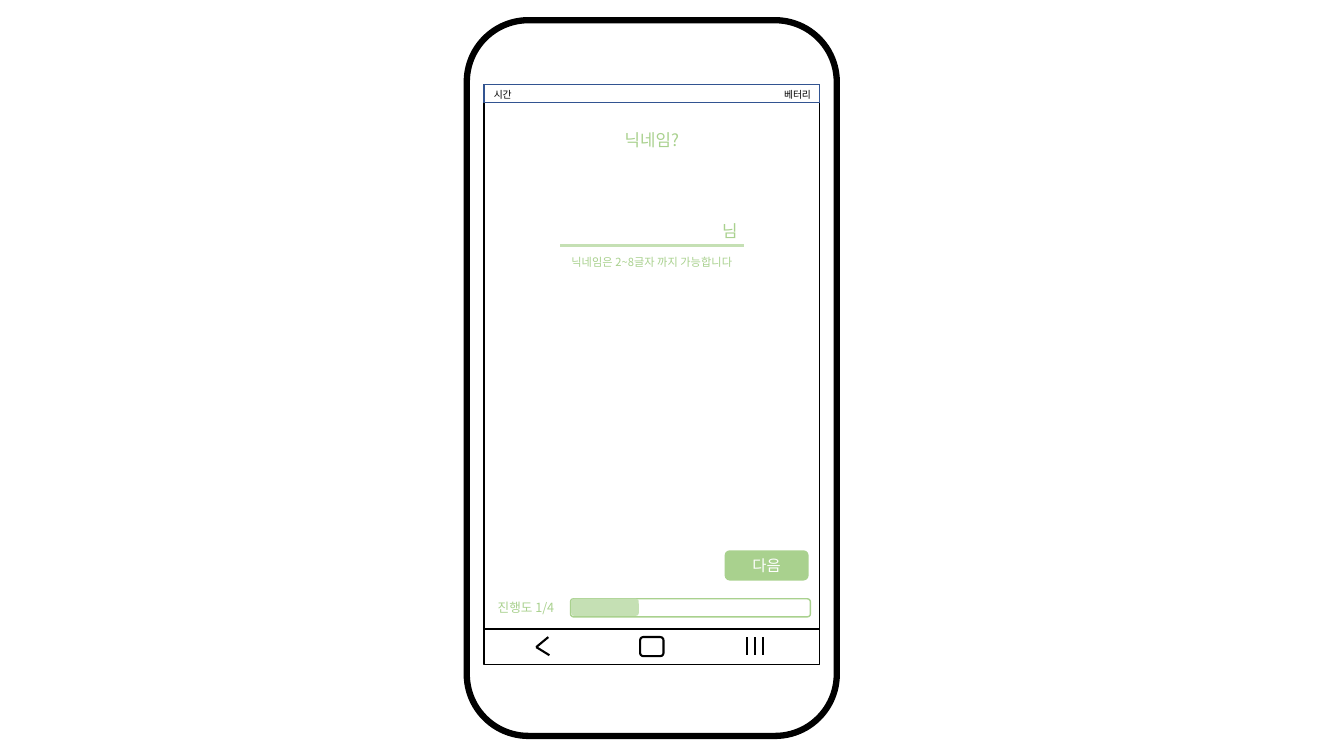
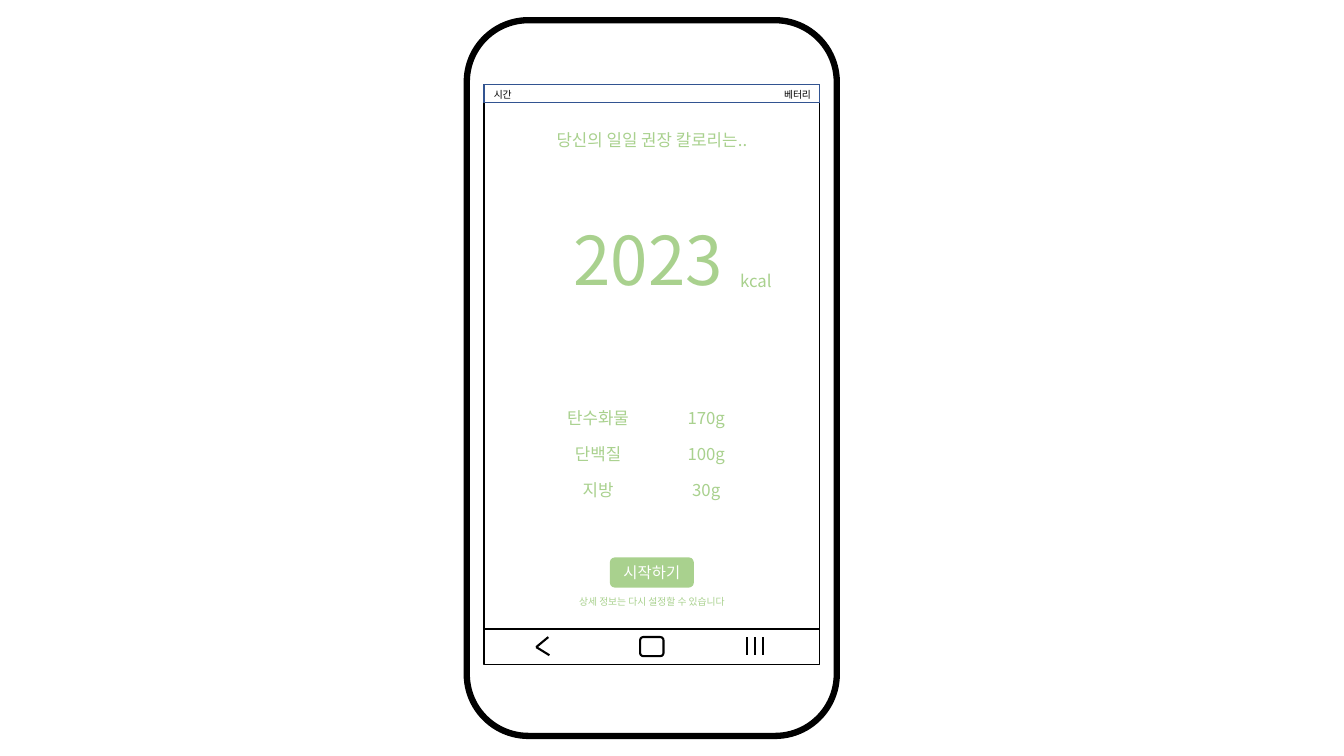
from lxml import etree
from pptx import Presentation
from pptx import util as u
from pptx.dml.color import RGBColor
from pptx.enum import shapes, text
from pptx.oxml import ns

FONT = "Noto Sans CJK KR"
HUES = {"ink": "000000", "paper": "FFFFFF", "green": "A9D18E",
        "pale": "C5E0B4", "blue": "325491"}
RECT = shapes.MSO_SHAPE.RECTANGLE
ROUND = shapes.MSO_SHAPE.ROUNDED_RECTANGLE
LEFT, MID = text.PP_ALIGN.LEFT, text.PP_ALIGN.CENTER

# Places are percent of the slide: x of its width, y of its height.
AXIS = 48.5
STATUS = [("시간", 36), ("베터리", 57.6)]
ASK = {
    "title": "닉네임?",
    # text, points, centre, top, width
    "words": [("님", 12, 54.3, 28.53, 16.65),
              ("닉네임은 2~8글자 까지 가능합니다", 8, AXIS, 33.07, 23.4)],
    "button": ("다음", 57.04, 72.8),
    "step": "진행도 1/4",
}
PLAN = {
    "title": "당신의 일일 권장 칼로리는..",
    "words": [("2023", 48, 48.22, 28.27, 16.65),
              ("kcal", 12, 56.25, 35.2, 16.65),
              ("상세 정보는 다시 설정할 수 있습니다", 7, AXIS, 78.13, 16.65)],
    "button": ("시작하기", AXIS, 73.73),
    "foods": [("탄수화물", "170g"), ("단백질", "100g"), ("지방", "30g")],
}

deck = Presentation()
deck.slide_width, deck.slide_height = u.Inches(13.333), u.Inches(7.5)


def across(part):
    """Turn a percent of the slide's width into a length."""
    return u.Emu(round(deck.slide_width * part / 100))


def down(part):
    """Turn a percent of the slide's height into a length."""
    return u.Emu(round(deck.slide_height * part / 100))


def hue(name):
    """Look up a colour by name."""
    return RGBColor.from_string(HUES[name])


def write(frame, words, size, tint, align):
    """Put one styled paragraph in a text frame."""
    para = frame.paragraphs[0]
    para.text, para.alignment = words, align
    font = para.font
    font.size, font.name = u.Pt(size), FONT
    font.color.rgb = hue(tint)
    east = etree.SubElement(para._p.pPr.find(ns.qn("a:defRPr")), ns.qn("a:ea"))
    east.set("typeface", FONT)


def label(page, words, size, x, y, wide, tint="green", align=MID):
    """Add a text box one line high."""
    high = u.Inches(size * 1.2 / 72 + 0.1)
    box = page.shapes.add_textbox(across(x), down(y), across(wide), high)
    box.text_frame.word_wrap = True
    write(box.text_frame, words, size, tint, align)


def panel(page, kind, x, y, wide, high, fill="paper", edge=None, weight=1):
    """Add a filled shape, outlined if an edge colour is given."""
    form = page.shapes.add_shape(kind, across(x), down(y), across(wide), down(high))
    form.shadow.inherit = False
    form.fill.solid()
    form.fill.fore_color.rgb = hue(fill)
    if edge:
        form.line.color.rgb, form.line.width = hue(edge), u.Pt(weight)
    else:
        form.line.fill.background()
    return form


def stroke(page, x1, y1, x2, y2, tint="ink", weight=1.5):
    """Add a straight line without a shadow."""
    line = page.shapes.add_connector(
        shapes.MSO_CONNECTOR.STRAIGHT, across(x1), down(y1), across(x2), down(y2))
    line.line.color.rgb, line.line.width = hue(tint), u.Pt(weight)
    etree.SubElement(line._element.spPr, ns.qn("a:effectLst"))


def button(page, words, x, y):
    """Add a green button centred on x."""
    wide = 6.25
    form = panel(page, ROUND, x - wide / 2, y, wide, 4, "green")
    frame = form.text_frame
    frame.vertical_anchor = text.MSO_ANCHOR.MIDDLE
    frame.margin_top = frame.margin_bottom = 0
    write(frame, words, 11, "paper", MID)


def navbar(page):
    """Draw the back, home and recent keys."""
    top, low = 84.27, 86.67
    panel(page, RECT, 36, 83.2, 25, 4.67, edge="ink")
    for x, y in [(40.8, top), (40.88, low)]:
        stroke(page, x, y, 39.9, 85.6)
    panel(page, ROUND, AXIS - 0.87, top, 1.74, 2.53, edge="ink", weight=1.5)
    for i in range(3):
        x = 55.58 + 0.6 * i
        stroke(page, x, top, x, low)


def phone(data):
    """Add a slide with the phone and what both screens share."""
    page = deck.slides.add_slide(deck.slide_layouts[6])
    panel(page, ROUND, 34.73, 2.67, 27.53, 94.67, edge="ink", weight=4.5)
    panel(page, RECT, 36, 11.2, 25, 76.53, edge="ink")
    panel(page, RECT, 36, 11.2, 25, 2.4, edge="blue")
    for words, x in STATUS:
        label(page, words, 7, x, 11.07, 3.9, "ink", LEFT)
    title = (data["title"], 12, AXIS, 16.53, 16.65)
    for words, size, x, y, wide in [title, *data["words"]]:
        label(page, words, size, x - wide / 2, y, wide)
    button(page, *data["button"])
    navbar(page)
    return page


def ask():
    """Build the nickname screen."""
    page = phone(ASK)
    stroke(page, 41.7, 32.53, 55.35, 32.53, "pale", 2.25)
    label(page, ASK["step"], 9, 36.3, 78.67, 12.2, align=LEFT)
    panel(page, ROUND, 42.45, 79.2, 17.85, 2.4, edge="green")
    panel(page, ROUND, 42.5, 79.2, 5.03, 2.27, "pale")


def plan():
    """Build the daily calorie screen."""
    page = phone(PLAN)
    for i, row in enumerate(PLAN["foods"]):
        for j, words in enumerate(row):
            label(page, words, 12, 39.5 + 8.05 * j, 53.33 + 4.75 * i, 10)


ask()
plan()
deck.save("out.pptx")
